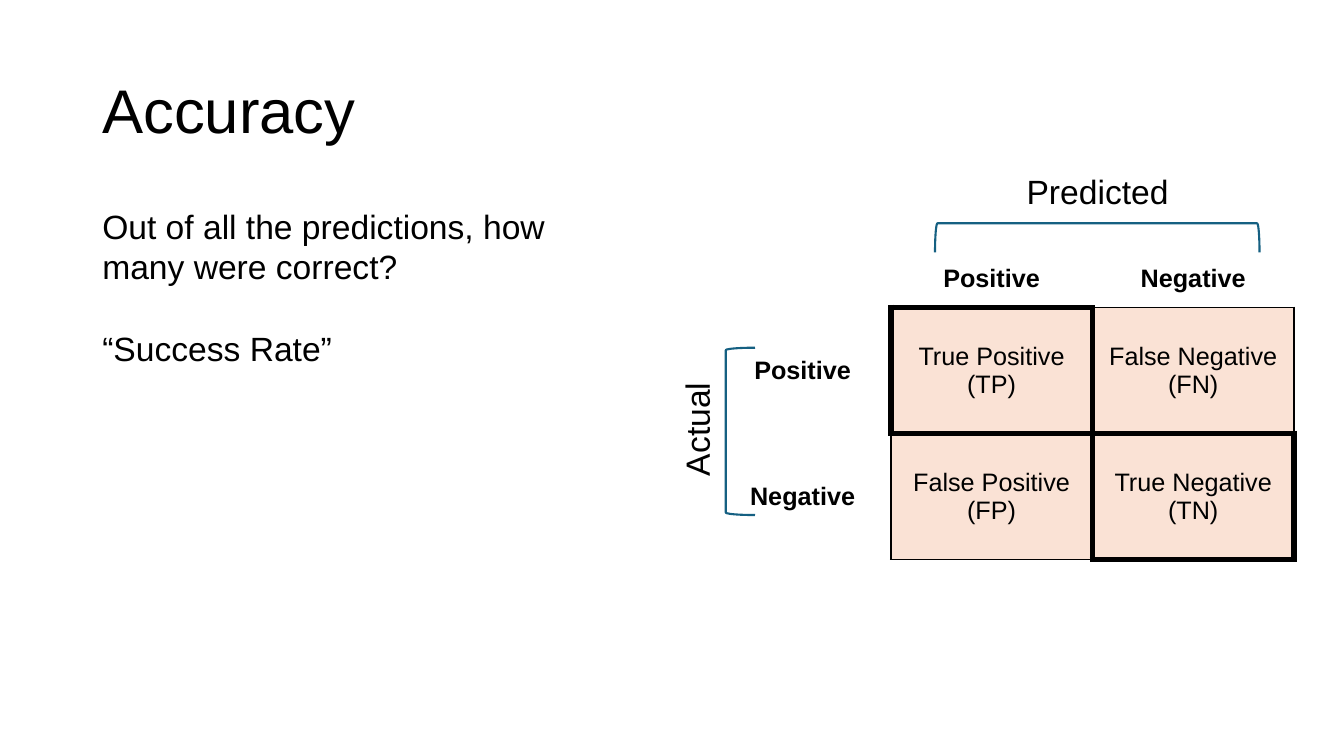
"""Build the Accuracy slide with its confusion matrix."""
from dataclasses import dataclass

from lxml import etree
from pptx import Presentation
from pptx.dml.color import RGBColor
from pptx.enum.shapes import MSO_SHAPE
from pptx.enum.text import MSO_ANCHOR, MSO_AUTO_SIZE, PP_ALIGN
from pptx.oxml.ns import qn
from pptx.slide import Slide
from pptx.table import _Cell
from pptx.text.text import _Paragraph
from pptx.util import Pt

LEFT, CENTER = PP_ALIGN.LEFT, PP_ALIGN.CENTER
TOP, MIDDLE = MSO_ANCHOR.TOP, MSO_ANCHOR.MIDDLE
FIT_SHAPE, NO_FIT = MSO_AUTO_SIZE.SHAPE_TO_FIT_TEXT, MSO_AUTO_SIZE.NONE
LEFT_BRACKET = MSO_SHAPE.LEFT_BRACKET


@dataclass(frozen=True)
class Theme:
    """Colours, font, type sizes and line widths."""
    font: str = "Arial"
    ink: str = "000000"
    accent: str = "156082"
    cell: str = "FAE2D5"
    title_size: float = 44
    body_size: float = 24
    table_size: float = 18
    bracket_line: float = 1.5
    thin: float = 1.5
    thick: float = 4.5


@dataclass(frozen=True)
class Frame:
    """Place, size and rotation of an object in points."""
    left: float
    top: float
    width: float
    height: float
    rotation: float = 0


@dataclass(frozen=True)
class Label:
    """One text box."""
    text: str
    frame: Frame
    size: float
    align: PP_ALIGN = LEFT
    anchor: MSO_ANCHOR = TOP
    fit: MSO_AUTO_SIZE = FIT_SHAPE
    spacing: float = 1.0


THEME = Theme()
LABELS = (
    Label("Accuracy", Frame(66, 28.8, 828, 104.4), THEME.title_size,
          anchor=MIDDLE, fit=NO_FIT, spacing=0.9),
    Label("Predicted", Frame(700.5, 118.8, 167, 36), THEME.body_size, CENTER),
    Label("Actual", Frame(414, 288.7, 167, 36, 270), THEME.body_size, CENTER),
    Label("Out of all the predictions, how many were correct?",
          Frame(66, 143.3, 346.3, 65), THEME.body_size),
    Label("“Success Rate”", Frame(66, 230.4, 346.3, 36), THEME.body_size),
)
BRACKETS = (
    Frame(773.3, 54, 20.9, 231.8, 90),
    Frame(518.4, 248.4, 20.9, 119.5),
)
MATRIX_LEFT, MATRIX_TOP = 510.3, 178.6
COLUMN_WIDTHS = (126, 144, 144)
ROW_HEIGHTS = (41, 90, 90)
MATRIX = (
    ((), ("Positive",), ("Negative",)),
    (("Positive",), ("True Positive", "(TP)"), ("False Negative (FN)",)),
    (("Negative",), ("False Positive (FP)",), ("True Negative (TN)",)),
)
NEIGHBOURS = {"lnL": (0, -1), "lnR": (0, 1), "lnT": (-1, 0), "lnB": (1, 0)}


def write(para: _Paragraph, text: str, size: float, align: PP_ALIGN,
          bold: bool = False) -> None:
    """Add one styled run to a paragraph."""
    para.alignment = align
    span = para.add_run()
    span.text = text
    span.font.name = THEME.font
    span.font.size = Pt(size)
    span.font.bold = bold
    span.font.color.rgb = RGBColor.from_string(THEME.ink)


def add_label(page: Slide, label: Label) -> None:
    """Draw a text box."""
    place = label.frame
    box = page.shapes.add_textbox(Pt(place.left), Pt(place.top),
                                  Pt(place.width), Pt(place.height))
    box.rotation = place.rotation
    frame = box.text_frame
    frame.word_wrap = True
    frame.auto_size = label.fit
    frame.vertical_anchor = label.anchor
    para = frame.paragraphs[0]
    para.line_spacing = label.spacing
    write(para, label.text, label.size, label.align)


def add_bracket(page: Slide, place: Frame) -> None:
    """Draw an unfilled bracket."""
    bracket = page.shapes.add_shape(LEFT_BRACKET, Pt(place.left), Pt(place.top),
                                    Pt(place.width), Pt(place.height))
    bracket.rotation = place.rotation
    bracket.shadow.inherit = False
    bracket.fill.background()
    bracket.line.color.rgb = RGBColor.from_string(THEME.accent)
    bracket.line.width = Pt(THEME.bracket_line)


def outline_width(row: int, column: int) -> float:
    """Give the outline of a cell: thick when correct, none for headers."""
    if not (1 <= row < len(MATRIX) and 1 <= column < len(MATRIX)):
        return 0
    return THEME.thick if row == column else THEME.thin


def set_borders(cell: _Cell, row: int, column: int) -> None:
    """Give each edge the heavier outline of the two cells it parts."""
    properties = cell._tc.get_or_add_tcPr()
    for index, (tag, (down, across)) in enumerate(NEIGHBOURS.items()):
        width = max(outline_width(row, column),
                    outline_width(row + down, column + across))
        edge = etree.Element(qn(f"a:{tag}"), w=str(Pt(width)))
        if width:
            fill = etree.SubElement(edge, qn("a:solidFill"))
            etree.SubElement(fill, qn("a:srgbClr"), val=THEME.ink)
        else:
            etree.SubElement(edge, qn("a:noFill"))
        properties.insert(index, edge)


def fill_cell(cell: _Cell, row: int, column: int) -> None:
    """Write and style one cell of the matrix."""
    is_header = not outline_width(row, column)
    if is_header:
        cell.fill.background()
    else:
        cell.fill.solid()
        cell.fill.fore_color.rgb = RGBColor.from_string(THEME.cell)
    cell.vertical_anchor = MIDDLE
    frame = cell.text_frame
    for index, text in enumerate(MATRIX[row][column]):
        para = frame.add_paragraph() if index else frame.paragraphs[0]
        write(para, text, THEME.table_size, CENTER, is_header)
    set_borders(cell, row, column)


def add_matrix(page: Slide) -> None:
    """Draw the confusion matrix."""
    table = page.shapes.add_table(
        len(ROW_HEIGHTS), len(COLUMN_WIDTHS), Pt(MATRIX_LEFT), Pt(MATRIX_TOP),
        Pt(sum(COLUMN_WIDTHS)), Pt(sum(ROW_HEIGHTS))).table
    table.first_row = False
    table.horz_banding = False
    for column, width in enumerate(COLUMN_WIDTHS):
        table.columns[column].width = Pt(width)
    for row, height in enumerate(ROW_HEIGHTS):
        table.rows[row].height = Pt(height)
        for column in range(len(COLUMN_WIDTHS)):
            fill_cell(table.cell(row, column), row, column)


def main() -> None:
    """Build and save the deck."""
    deck = Presentation()
    deck.slide_width, deck.slide_height = Pt(960), Pt(540)
    page = deck.slides.add_slide(deck.slide_layouts[6])
    add_matrix(page)
    for place in BRACKETS:
        add_bracket(page, place)
    for label in LABELS:
        add_label(page, label)
    deck.save("out.pptx")


if __name__ == "__main__":
    main()
